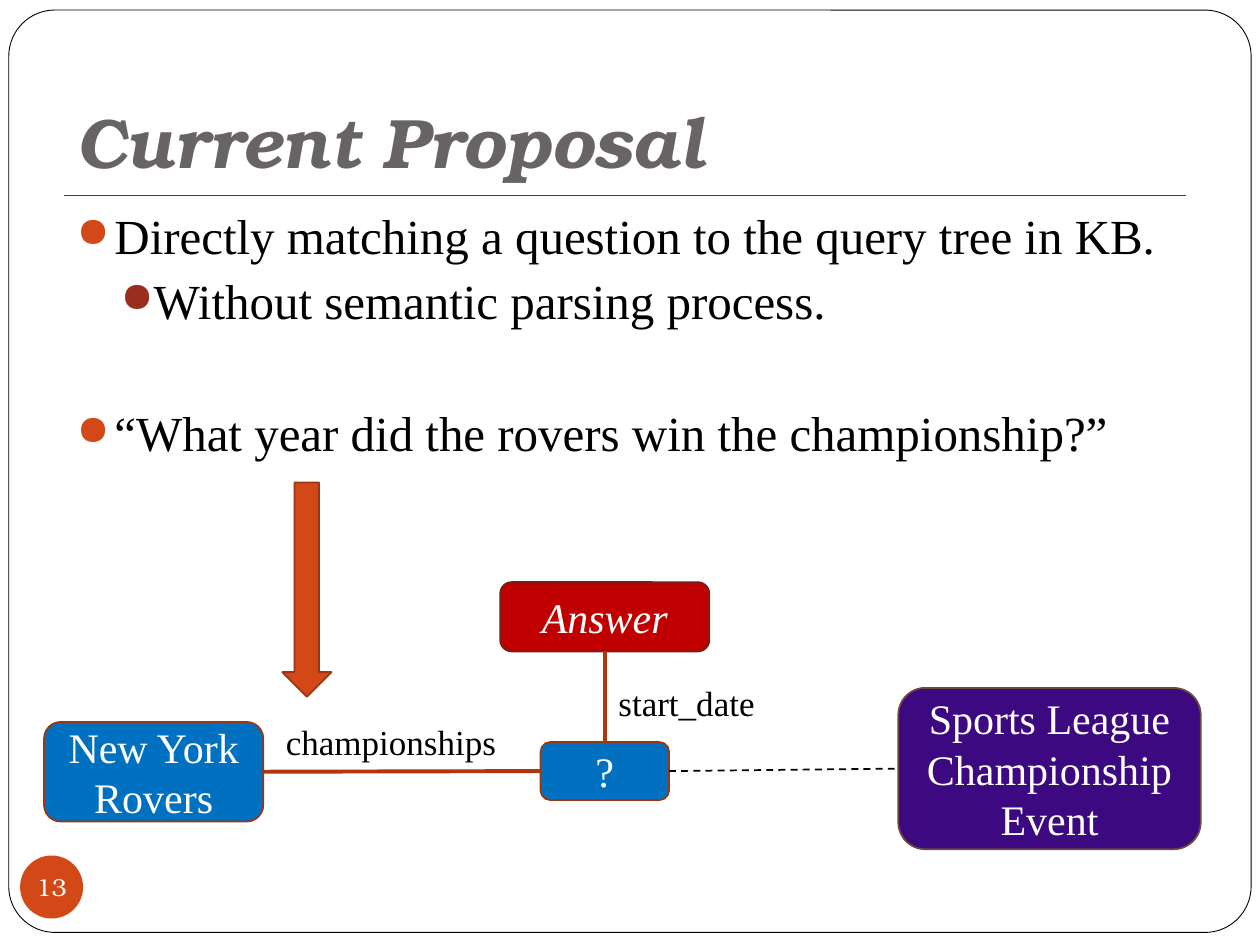
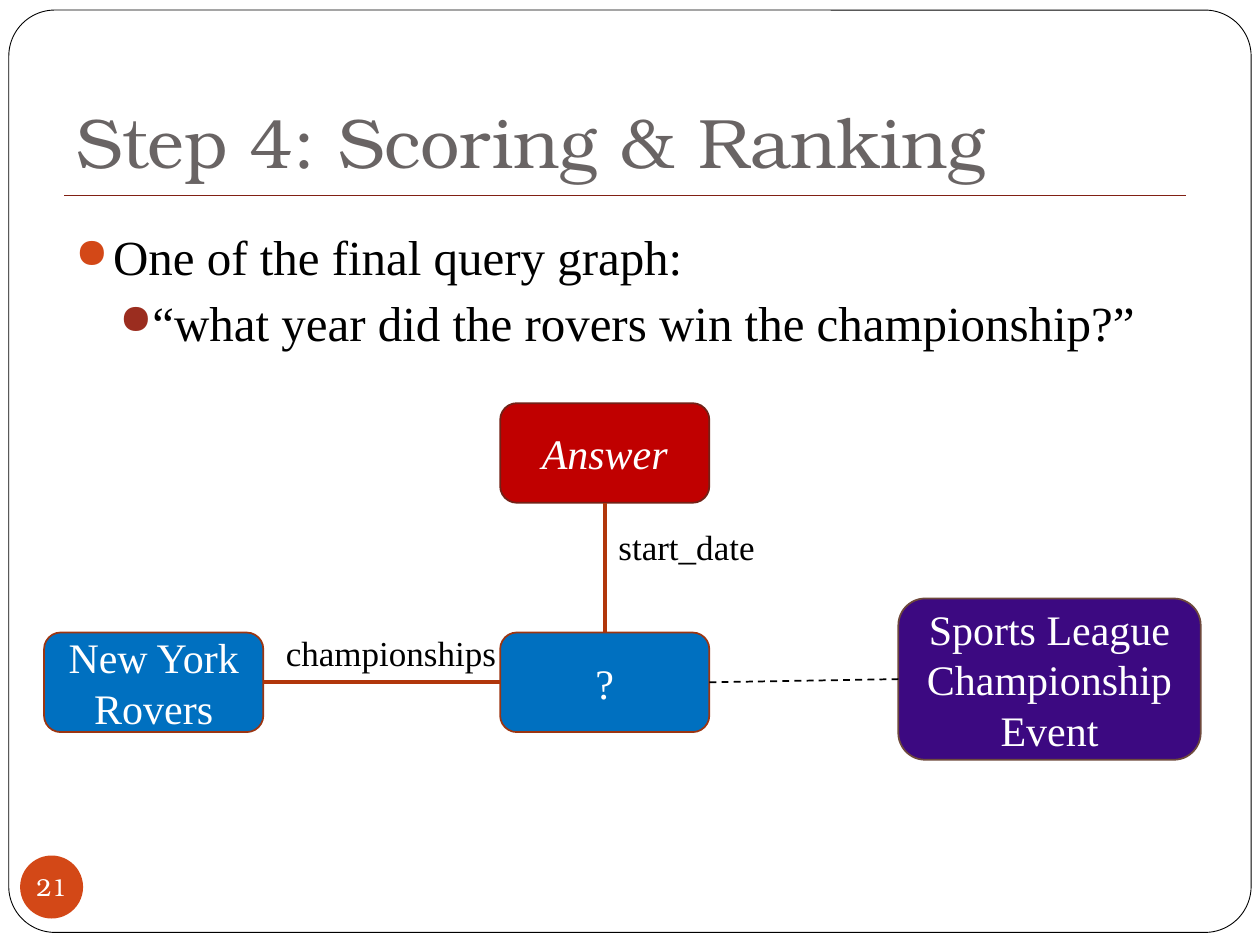
"""Builds two slides on matching a question to a query graph."""
from dataclasses import dataclass

from lxml import etree
from pptx import Presentation
from pptx.dml.color import RGBColor
from pptx.enum.dml import MSO_LINE
from pptx.enum.shapes import MSO_CONNECTOR, MSO_SHAPE
from pptx.enum.text import MSO_ANCHOR, PP_ALIGN
from pptx.oxml.ns import qn
from pptx.util import Pt

PX = 9144
ROUNDED, OVAL, DOWN_ARROW = MSO_SHAPE.ROUNDED_RECTANGLE, MSO_SHAPE.OVAL, MSO_SHAPE.DOWN_ARROW
STRAIGHT, DASH = MSO_CONNECTOR.STRAIGHT, MSO_LINE.DASH
LEFT, CENTER = PP_ALIGN.LEFT, PP_ALIGN.CENTER
TOP, MIDDLE, BOTTOM = MSO_ANCHOR.TOP, MSO_ANCHOR.MIDDLE, MSO_ANCHOR.BOTTOM
TOP_SIDE, LEFT_SIDE, BOTTOM_SIDE, RIGHT_SIDE = range(4)


@dataclass(frozen=True)
class Theme:
    heading_font: str = "TeX Gyre Bonum"
    body_font: str = "Times New Roman"
    white: str = "FFFFFF"
    black: str = "000000"
    title: str = "696464"
    rule: str = "812014"
    accent: str = "D34817"
    sub_accent: str = "9B2D1F"
    edge: str = "B1360B"
    outline: str = "9C3511"
    entity: str = "0070C0"
    answer: str = "C00000"
    answer_outline: str = "732117"
    event: str = "3C0981"
    event_outline: str = "6E493C"
    title_size: int = 40
    body_size: int = 28
    node_size: int = 24
    label_size: int = 20
    number_size: int = 14


THEME = Theme()
LEVELS = ((30, -30, THEME.accent), (60, -25, THEME.sub_accent))


def rgb(color):
    return RGBColor.from_string(color)


def write(paragraph, text, *, size, color=THEME.black, font=THEME.body_font,
          bold=False, italic=False, align=LEFT, before=0):
    paragraph.text = text
    paragraph.alignment = align
    paragraph.space_before = Pt(before)
    style = paragraph.font
    style.size, style.name, style.bold, style.italic = Pt(size), font, bold, italic
    style.color.rgb = rgb(color)


def add_bullet(paragraph, level):
    indent, hanging, color = LEVELS[level]
    properties = paragraph._p.get_or_add_pPr()
    properties.set("marL", str(indent * PX))
    properties.set("indent", str(hanging * PX))
    properties.set("lvl", str(level))
    tint = etree.SubElement(properties, qn("a:buClr"))
    etree.SubElement(tint, qn("a:srgbClr"), val=color)
    etree.SubElement(properties, qn("a:buSzPct"), val="85000")
    etree.SubElement(properties, qn("a:buChar"), char="●")


class Deck:
    def __init__(self, theme):
        self.theme = theme
        self.file = Presentation()
        self.file.slide_width, self.file.slide_height = 1000 * PX, 750 * PX
        self.slide = None

    def start(self, title, number, **title_style):
        theme = self.theme
        self.slide = self.file.slides.add_slide(self.file.slide_layouts[6])
        frame = self.shape(ROUNDED, (7, 8, 986, 732), theme.white, theme.black, 0.5)
        frame.adjustments[0] = 0.05
        self.line((51, 155), (941, 155), theme.rule, 0.75)
        self.text((51, 30, 899, 125), title, anchor=BOTTOM, bottom=10, size=theme.title_size,
                  color=theme.title, font=theme.heading_font, **title_style)
        badge = self.shape(OVAL, (16, 679, 50, 50), theme.accent)
        self.fill_text(badge, [number], margins=(0, 0, 0, 0), wrap=False,
                       size=theme.number_size, font=theme.heading_font)

    def shape(self, kind, box, fill, outline=None, weight=1):
        shape = self.slide.shapes.add_shape(kind, *(n * PX for n in box))
        shape.shadow.inherit = False
        shape.fill.solid()
        shape.fill.fore_color.rgb = rgb(fill)
        if outline:
            shape.line.color.rgb = rgb(outline)
            shape.line.width = Pt(weight)
        else:
            shape.line.fill.background()
        return shape

    def frame(self, shape, anchor, margins=(10, 5, 10, 5), wrap=True):
        frame = shape.text_frame
        frame.word_wrap, frame.vertical_anchor = wrap, anchor
        (frame.margin_left, frame.margin_top,
         frame.margin_right, frame.margin_bottom) = (n * PX for n in margins)
        return frame

    def fill_text(self, shape, lines, margins=(10, 5, 10, 5), wrap=True, **style):
        frame = self.frame(shape, MIDDLE, margins, wrap)
        for index, line in enumerate(lines):
            paragraph = frame.add_paragraph() if index else frame.paragraphs[0]
            write(paragraph, line, color=self.theme.white, align=CENTER, **style)

    def node(self, box, lines, fill, outline, **style):
        node = self.shape(ROUNDED, box, fill, outline)
        self.fill_text(node, lines, size=self.theme.node_size, **style)
        return node

    def text(self, box, text, anchor=TOP, bottom=5, **style):
        area = self.slide.shapes.add_textbox(*(n * PX for n in box))
        frame = self.frame(area, anchor, (10, 5, 10, bottom))
        write(frame.paragraphs[0], text, **style)

    def bullets(self, box, items):
        area = self.slide.shapes.add_textbox(*(n * PX for n in box))
        frame = self.frame(area, TOP)
        for index, (text, level, before) in enumerate(items):
            paragraph = frame.add_paragraph() if index else frame.paragraphs[0]
            add_bullet(paragraph, level)
            write(paragraph, text, size=self.theme.body_size, before=before)

    def line(self, start, end, color, weight, dash=None):
        points = (n * PX for n in (*start, *end))
        line = self.slide.shapes.add_connector(STRAIGHT, *points)
        etree.SubElement(line._element.spPr, qn("a:effectLst"))
        line.line.color.rgb = rgb(color)
        line.line.width = Pt(weight)
        if dash:
            line.line.dash_style = dash
        return line

    def join(self, source, source_side, target, target_side, color, weight, dash=None):
        line = self.line((0, 0), (0, 0), color, weight, dash)
        line.begin_connect(source, source_side)
        line.end_connect(target, target_side)

    def query_graph(self, team_top, answer_box, unknown_box, date_top):
        theme = self.theme
        event = self.node((713, team_top - 27, 240, 128),
                          ["Sports League", "Championship Event"],
                          theme.event, theme.event_outline)
        team = self.node((35, team_top, 174, 79), ["New York\vRovers"],
                         theme.entity, theme.outline)
        unknown = self.node(unknown_box, ["?"], theme.entity, theme.outline)
        answer = self.node(answer_box, ["Answer"], theme.answer, theme.answer_outline,
                           italic=True)
        self.join(team, RIGHT_SIDE, unknown, LEFT_SIDE, theme.edge, 2.25)
        self.join(answer, BOTTOM_SIDE, unknown, TOP_SIDE, theme.edge, 2.25)
        self.join(unknown, RIGHT_SIDE, event, LEFT_SIDE, theme.black, 1, DASH)
        self.text((217, team_top - 6, 213, 44), "championships", size=theme.label_size)
        self.text((481, date_top, 145, 44), "start_date", size=theme.label_size)


def main():
    deck = Deck(THEME)

    deck.start("Current Proposal", "13", bold=True, italic=True)
    deck.bullets((51, 158, 899, 500), [
        ("Directly matching a question to the query tree in KB.", 0, 0),
        ("Without semantic parsing process.", 1, 3.7),
        ("“What year did the rovers win the championship?”", 0, 42),
    ])
    deck.query_graph(573, (397, 462, 166, 55), (429, 589, 102, 46), 536)
    deck.shape(DOWN_ARROW, (224, 383, 39, 170), THEME.accent, THEME.outline)

    deck.start("Step 4: Scoring & Ranking", "21")
    deck.bullets((50, 175, 900, 531), [
        ("One of the final query graph:", 0, 0),
        ("“what year did the rovers win the championship?”", 1, 3.7),
    ])
    deck.query_graph(502, (397, 320, 166, 79), (397, 502, 166, 79), 412)

    deck.file.save("out.pptx")


if __name__ == "__main__":
    main()
